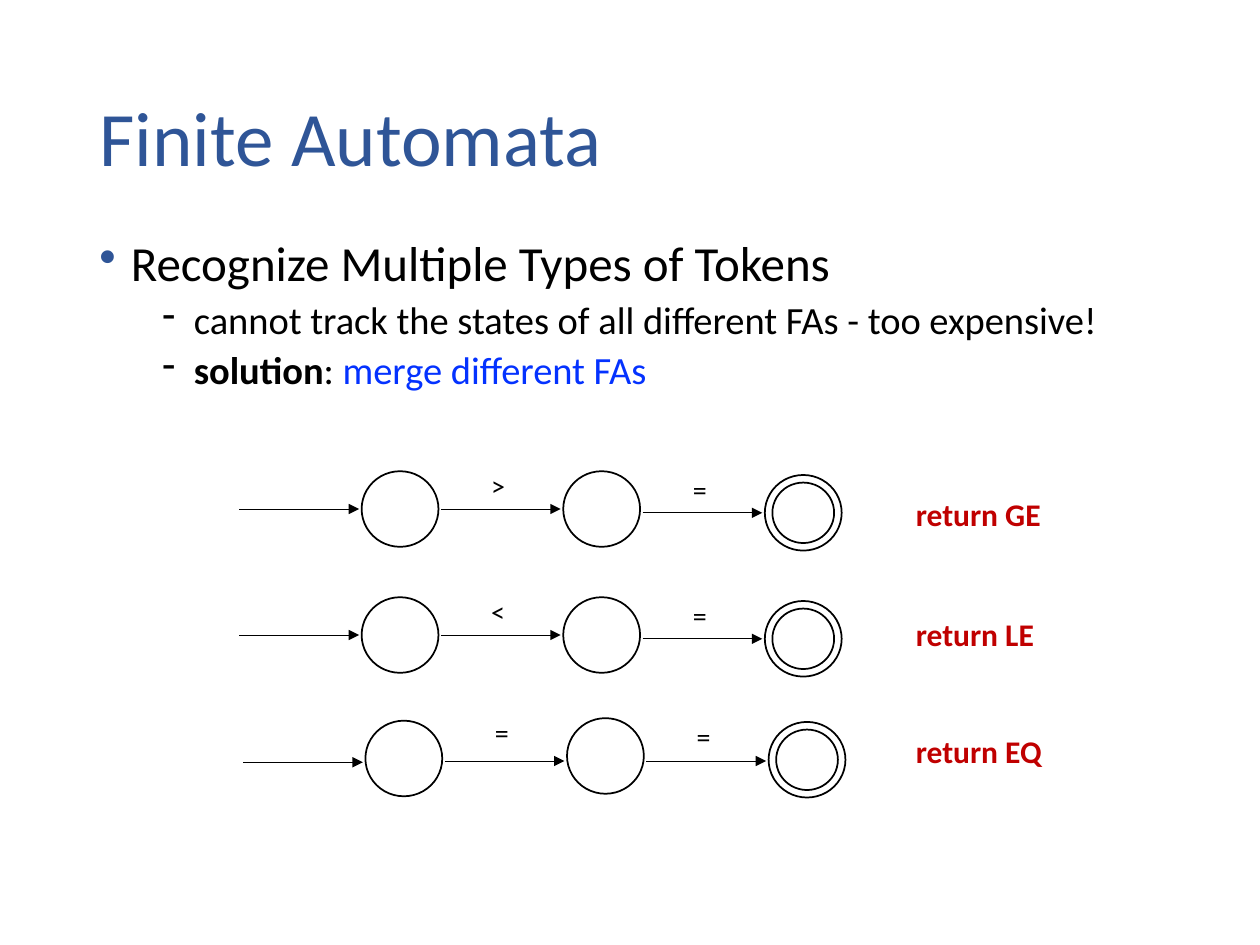
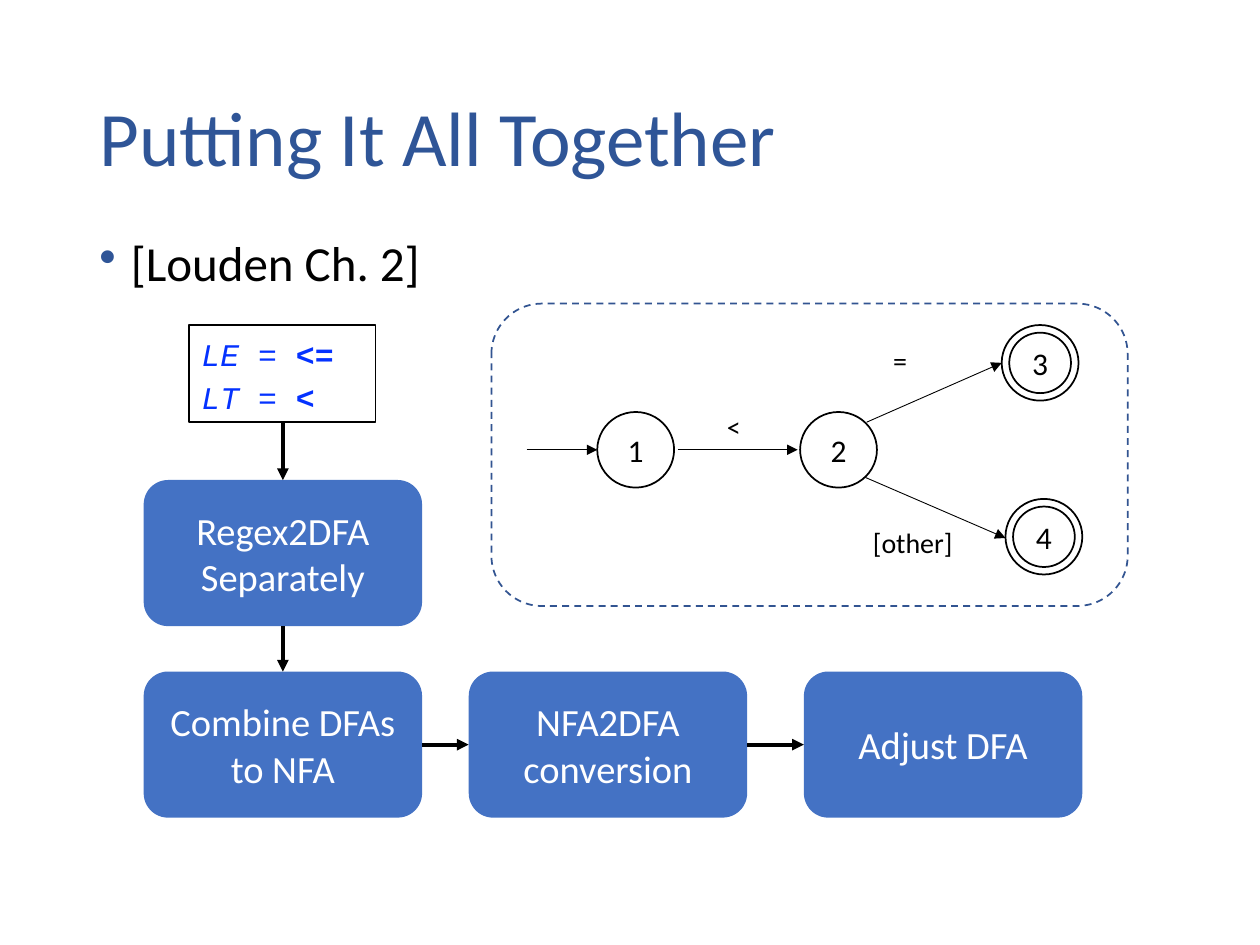
"""Two lecture slides on merging finite automata and the path from regex to DFA."""
from dataclasses import dataclass

from pptx import Presentation
from pptx.dml.color import RGBColor
from pptx.enum import dml, shapes, text
from pptx.oxml.ns import qn
from pptx.util import Inches, Pt
from lxml import etree


@dataclass(frozen=True)
class Theme:
    font: str = "Calibri"
    code: str = "Courier New"
    ink: str = "000000"
    title: str = "2F5597"
    blue: str = "0432FF"
    red: str = "C00000"
    step: str = "4472C4"
    frame: str = "325491"
    white: str = "FFFFFF"
    head: int = 44
    lead: int = 28
    body: int = 22
    note: int = 18
    mark: int = 16
    thin: float = 0.5
    thick: float = 2.25


T = Theme()
NODE_W, NODE_H = 0.61, 0.6
STEP_W, STEP_H = 2.21, 1.16


def box(left, top, width, height):
    return [Inches(v) for v in (left, top, width, height)]


def style(font, size=None, color=None, name=None, bold=None, italic=None):
    if size:
        font.size = Pt(size)
    if color:
        font.color.rgb = RGBColor.from_string(color)
    if name:
        font.name = name
    if bold is not None:
        font.bold = bold
    if italic is not None:
        font.italic = italic


def write(para, runs, size, color=T.ink, name=T.font, bold=None):
    for words, extra in runs:
        run = para.add_run()
        run.text = words
        style(run.font, **{"size": size, "color": color, "name": name,
                           "bold": bold, **extra})
    style(para.font, size, color, name, bold)


def lines(frame, rows, align=None, **look):
    for i, runs in enumerate(rows):
        para = frame.add_paragraph() if i else frame.paragraphs[0]
        para.alignment = align
        write(para, [(runs, {})] if isinstance(runs, str) else runs, **look)


def bullet(para, char, left, color):
    props = para._p.get_or_add_pPr()
    props.set("marL", str(Inches(left)))
    props.set("indent", str(Inches(-0.25)))
    tint = etree.SubElement(props, qn("a:buClr"))
    etree.SubElement(tint, qn("a:srgbClr"), val=color)
    etree.SubElement(props, qn("a:buChar"), char=char)


def start(deck, title):
    slide = deck.slides.add_slide(deck.slide_layouts[5])
    head = slide.shapes.title
    head.left, head.top, head.width, head.height = box(0.69, 0.4, 8.62, 1.45)
    frame = head.text_frame
    frame.auto_size = text.MSO_AUTO_SIZE.NONE
    frame.vertical_anchor = text.MSO_ANCHOR.MIDDLE
    lines(frame, [title], text.PP_ALIGN.LEFT, size=T.head, color=T.title)
    frame.paragraphs[0].line_spacing = 0.9
    return slide


def points(slide, lead, *subs):
    frame = slide.shapes.add_textbox(*box(0.69, 1.85, 9.12, 1.73)).text_frame
    frame.word_wrap = True
    for i, runs in enumerate(([(lead, {})], *subs)):
        para = frame.add_paragraph() if i else frame.paragraphs[0]
        para.level = min(i, 1)
        para.line_spacing = 0.9
        para.space_before = Pt(5 if i else 10)
        bullet(para, "-" if i else "•", 0.75 if i else 0.25,
               T.ink if i else T.title)
        write(para, runs, T.body if i else T.lead)


def label(slide, words, left, top, size=T.mark, **look):
    frame = slide.shapes.add_textbox(*box(left, top, 1.25, 0.37)).text_frame
    frame.word_wrap = False
    lines(frame, [words], text.PP_ALIGN.LEFT, size=size, **look)


def shape(slide, kind, place, fill=None, line=None, width=1):
    item = slide.shapes.add_shape(kind, *box(*place))
    item.shadow.inherit = False
    if fill:
        item.fill.solid()
        item.fill.fore_color.rgb = RGBColor.from_string(fill)
    else:
        item.fill.background()
    if line:
        item.line.color.rgb = RGBColor.from_string(line)
        item.line.width = Pt(width)
    else:
        item.line.fill.background()
    return item


def node(slide, left, top, name="", final=False):
    oval = shapes.MSO_SHAPE.OVAL
    item = shape(slide, oval, (left, top, NODE_W, NODE_H), line=T.ink)
    if final:
        item = shape(slide, oval, (left + 0.06, top + 0.06, 0.49, 0.48),
                     line=T.ink)
    if name:
        frame = item.text_frame
        frame.margin_left = frame.margin_right = 0
        frame.margin_top = frame.margin_bottom = 0
        lines(frame, [name], text.PP_ALIGN.CENTER, size=T.note)


def arrow(slide, x1, y1, x2, y2, width=T.thin):
    item = slide.shapes.add_connector(
        shapes.MSO_CONNECTOR.STRAIGHT, *box(x1, y1, x2, y2))
    item.line.color.rgb = RGBColor.from_string(T.ink)
    item.line.width = Pt(width)
    props = item.element.spPr
    etree.SubElement(props.find(qn("a:ln")), qn("a:tailEnd"), type="triangle")
    etree.SubElement(props, qn("a:effectLst"))


def step(slide, left, top, *rows):
    item = shape(slide, shapes.MSO_SHAPE.ROUNDED_RECTANGLE,
                 (left, top, STEP_W, STEP_H), fill=T.step)
    lines(item.text_frame, rows, text.PP_ALIGN.CENTER,
          size=T.body, color=T.white)


def chain(slide, left, tops, levels, marks):
    for i, (top, level) in enumerate(zip(tops, levels)):
        x = left + 1.6 * i
        node(slide, x, top, final=i == 2)
        tail = x - 0.97
        arrow(slide, tail, level, x - 0.02, level)
        if i:
            label(slide, marks[i - 1], tail + 0.3, top - 0.07)


def code(slide):
    item = shape(slide, shapes.MSO_SHAPE.RECTANGLE, (1.5, 2.58, 1.48, 0.77),
                 line=T.ink, width=0.75)
    slant, strong = {"italic": True}, {"bold": True}
    rows = [[("LE ", slant), ("= ", {}), ("<=", strong)],
            [("LT = ", slant), ("<", strong)]]
    frame = item.text_frame
    frame.word_wrap = False
    lines(frame, rows, text.PP_ALIGN.LEFT,
          size=T.note, color=T.blue, name=T.code)
    for para in frame.paragraphs:
        para.line_spacing = 1.1
        para.space_before = Pt(1)


def tokens(deck):
    slide = start(deck, "Finite Automata")
    points(slide, "Recognize Multiple Types of Tokens",
           [("cannot track the states of all different FAs"
             " - too expensive!", {})],
           [("solution", {"bold": True}), (": ", {}),
            ("merge different FAs", {"color": T.blue})])
    for top, mark in ((3.74, ">"), (4.74, "<")):
        mid = top + NODE_H / 2
        chain(slide, 2.87, (top, top, top + 0.03),
              (mid, mid, mid + 0.03), (mark, "="))
    chain(slide, 2.9, (5.72, 5.7, 5.73), (6.05, 6.04, 6.04), "==")
    for name, top in (("GE", 3.88), ("LE", 4.83), ("EQ", 5.76)):
        label(slide, f"return {name}", 7.17, top, T.note,
              color=T.red, bold=True)


def merged(slide):
    frame = shape(slide, shapes.MSO_SHAPE.ROUNDED_RECTANGLE,
                  (3.9, 2.41, 5.05, 2.4), line=T.frame)
    frame.line.dash_style = dml.MSO_LINE.DASH
    node(slide, 4.74, 3.27, "1")
    node(slide, 6.35, 3.27, "2")
    node(slide, 7.95, 2.58, "3", True)
    node(slide, 7.98, 3.96, "4", True)
    arrow(slide, 4.18, 3.57, 4.74, 3.57)
    arrow(slide, 5.38, 3.57, 6.33, 3.57)
    arrow(slide, 6.88, 3.35, 7.95, 2.88)
    arrow(slide, 6.87, 3.79, 7.98, 4.27)
    label(slide, "<", 5.67, 3.2)
    label(slide, "=", 6.99, 2.68)
    label(slide, "[other]", 6.83, 4.12)


def flow(deck):
    slide = start(deck, "Putting It All Together")
    points(slide, "[Louden Ch. 2]")
    merged(slide)
    code(slide)
    first, second, third = 1.14, 3.72, 6.38
    upper, lower = 3.81, 5.33
    step(slide, first, upper, "Regex2DFA", "Separately")
    step(slide, first, lower, "Combine DFAs to NFA")
    step(slide, second, lower, "NFA2DFA", "conversion")
    step(slide, third, lower, "Adjust DFA")
    mid, level = first + STEP_W / 2, lower + STEP_H / 2
    for y1, y2 in ((3.35, upper), (upper + STEP_H, lower)):
        arrow(slide, mid, y1, mid, y2, T.thick)
    for left, right in ((first, second), (second, third)):
        arrow(slide, left + STEP_W, level, right, level, T.thick)


def main():
    deck = Presentation()
    deck.slide_width, deck.slide_height = Inches(10), Inches(7.5)
    tokens(deck)
    flow(deck)
    deck.save("out.pptx")


main()
